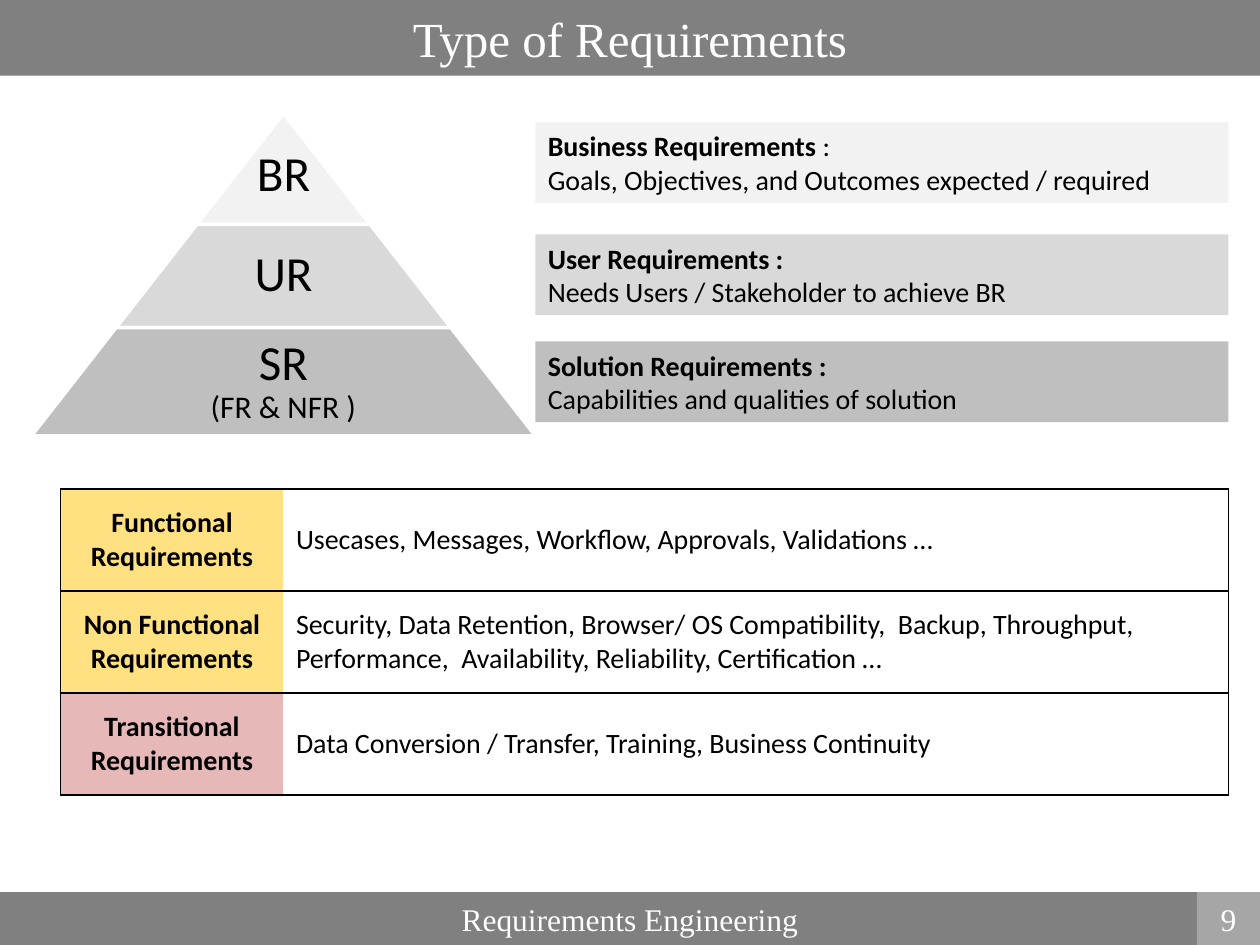
from pptx import Presentation
from pptx.dml.color import RGBColor
from pptx.enum.shapes import MSO_SHAPE
from pptx.enum.text import MSO_ANCHOR, PP_ALIGN
from pptx.oxml import parse_xml
from pptx.oxml.ns import nsdecls
from pptx.util import Inches, Pt

RECT = MSO_SHAPE.RECTANGLE
MIDDLE = MSO_ANCHOR.MIDDLE
LEFT, CENTER = PP_ALIGN.LEFT, PP_ALIGN.CENTER

THEME = {
    "bar": "808080", "badge": "A6A6A6", "white": "FFFFFF", "ink": "000000",
    "tiers": ["F2F2F2", "D9D9D9", "BFBFBF"],
    "gold": "FFE181", "rose": "E6B9B8",
    "serif": "Times New Roman", "sans": "Calibri",
    "title": 28, "foot": 18, "tier": 28, "note": 18, "body": 16,
}
rgb = RGBColor.from_string

prs = Presentation()
prs.slide_width, prs.slide_height = Inches(10), Inches(7.5)
slide = prs.slides.add_slide(prs.slide_layouts[6])
shapes = slide.shapes

# Grid of 20 columns by 15 rows
UNIT = prs.slide_width / 20


def grid(*cells):
    return [round(cell * UNIT) for cell in cells]


def style(par, size, font="sans", color="ink", align=LEFT, bold=False):
    par.alignment = align
    for run in par.runs:
        face = run.font
        face.size, face.name, face.bold = Pt(size), THEME[font], bold
        face.color.rgb = rgb(THEME[color])


# Title bar, footer bar and page number
for text, box, fill, size in [
    ("Requirements Engineering", (0, 14.16, 20, 0.84), "bar", "foot"),
    ("Type of Requirements", (0, 0, 20, 1.2), "bar", "title"),
    ("9", (19, 14.16, 1, 0.84), "badge", "foot"),
]:
    bar = shapes.add_shape(RECT, *grid(*box))
    bar.shadow.inherit = False
    bar.fill.solid()
    bar.fill.fore_color.rgb = rgb(THEME[fill])
    bar.line.fill.background()
    bar.text_frame.text = text
    bar.text_frame.vertical_anchor = MIDDLE
    style(bar.text_frame.paragraphs[0], THEME[size], "serif", "white", CENTER)

# Pyramid: each tier widens evenly from the apex down
APEX, SLOPE = 4.5, 4 / 5.12
EDGES = [1.8, 3.56, 5.2, 6.92]
TIERS = [
    ("BR", (0.08, 0.2, 0.08, 0)),
    ("UR", (1.02, 0.08, 1.02, 0.08)),
    ("SR\n(FR & NFR )", (1.48, 0.08, 1.48, 0.08)),
]
for (text, inset), top, base, fill in zip(TIERS, EDGES, EDGES[1:], THEME["tiers"]):
    near, far = [SLOPE * (edge - EDGES[0]) for edge in (top, base)]
    path = shapes.build_freeform(*grid(APEX - far, base))
    path.add_line_segments([
        grid(APEX - near, top), grid(APEX + near, top), grid(APEX + far, base)])
    tier = path.convert_to_shape()
    tier.shadow.inherit = False
    tier.fill.solid()
    tier.fill.fore_color.rgb = rgb(fill)
    tier.line.color.rgb = rgb(THEME["white"])
    tier.line.width = Pt(2)
    frame = tier.text_frame
    frame.text = text
    frame.word_wrap = True
    frame.vertical_anchor = MIDDLE
    (frame.margin_left, frame.margin_top,
     frame.margin_right, frame.margin_bottom) = grid(*inset)
    for par, size in zip(frame.paragraphs, ("tier", "note")):
        par.line_spacing = 0.9
        style(par, THEME[size], align=CENTER)

# Meaning of each tier
NOTES = [
    (1.94, "Business Requirements ", ": ",
     "Goals, Objectives, and Outcomes expected / required"),
    (3.72, "User Requirements :", "", "Needs Users / Stakeholder to achieve BR"),
    (5.42, "Solution Requirements :", "", "Capabilities and qualities of solution"),
]
for (top, head, mark, text), fill in zip(NOTES, THEME["tiers"]):
    note = shapes.add_shape(RECT, *grid(8.5, top, 11, 1.28))
    note.shadow.inherit = False
    note.fill.solid()
    note.fill.fore_color.rgb = rgb(fill)
    note.line.fill.background()
    note.text_frame.vertical_anchor = MIDDLE
    par = note.text_frame.paragraphs[0]
    par.text = f"{head}\v{text}"
    if mark:
        par.text = head
        par.add_run().text = mark
        par.add_line_break()
        par.add_run().text = text
    style(par, THEME["body"])
    par.runs[0].font.bold = True

# Requirement tables
ROW, COLS = 1.62, (3.54, 15)
TABLES = [
    (7.76, "gold", [
        ("Functional Requirements",
         "Usecases, Messages, Workflow, Approvals, Validations …"),
        ("Non Functional Requirements",
         "Security, Data Retention, Browser/ OS Compatibility,  Backup, Throughput, "
         "Performance,  Availability, Reliability, Certification …"),
    ]),
    (11, "rose", [
        ("Transitional Requirements",
         "Data Conversion / Transfer, Training, Business Continuity"),
    ]),
]
for top, fill, rows in TABLES:
    box = grid(0.96, top, sum(COLS), ROW * len(rows))
    table = shapes.add_table(len(rows), len(COLS), *box).table
    table.first_row = table.horz_banding = False
    for col, width in zip(table.columns, grid(*COLS)):
        col.width = width
    for r, row in enumerate(rows):
        table.rows[r].height = grid(ROW)[0]
        for c, text in enumerate(row):
            cell = table.cell(r, c)
            # Lines on the outside and between rows, none between columns
            for side in "LRTB":
                open_side = side == "RL"[c]
                paint = "<a:noFill/>" if open_side else (
                    f'<a:solidFill><a:srgbClr val="{THEME["ink"]}"/></a:solidFill>')
                cell._tc.get_or_add_tcPr().append(parse_xml(
                    f'<a:ln{side} {nsdecls("a")} w="{Pt(1)}">{paint}</a:ln{side}>'))
            cell.text_frame.text = text
            cell.vertical_anchor = MIDDLE
            par = cell.text_frame.paragraphs[0]
            if c == 0:
                cell.fill.solid()
                cell.fill.fore_color.rgb = rgb(THEME[fill])
                style(par, THEME["body"], align=CENTER, bold=True)
            else:
                cell.fill.background()
                par.space_after = Pt(6)
                style(par, THEME["body"])

prs.save("out.pptx")
